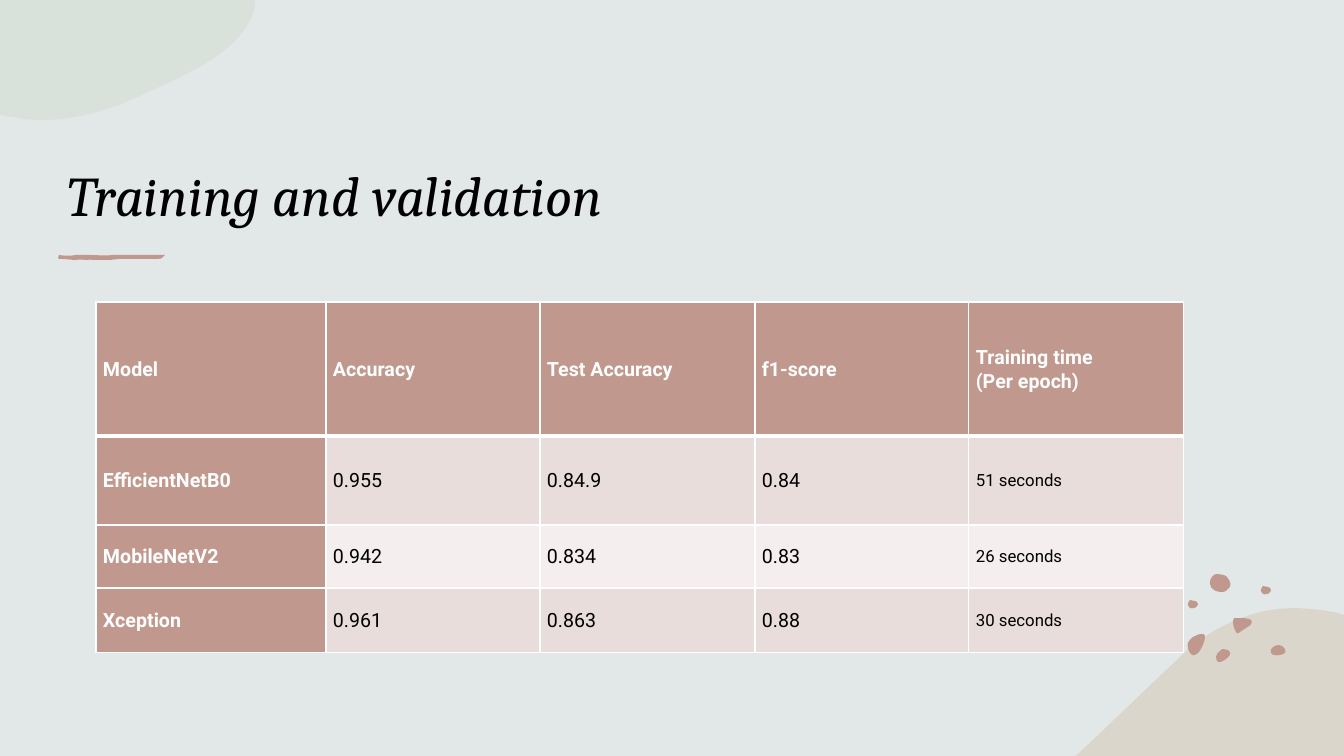
from lxml import etree
from pptx import Presentation
from pptx import util as u
from pptx.dml.color import RGBColor
from pptx.enum import text
from pptx.oxml import parse_xml
from pptx.oxml.ns import nsdecls, qn

SCALE = 12192000 / 1344
THEME = {
    "background": "E2E7E8", "sand": "D3C7B0", "sage": "CFDDCD", "clay": "C1988D",
    "band": "E9DDDB", "pale": "F4EFEE", "ink": "000000", "white": "FFFFFF",
    "title_font": "Cambria", "body_font": "Roboto",
    "title_size": 40, "body_size": 14, "time_size": 12,
}


def px(length):
    return u.Emu(round(length * SCALE))


def draw_outline(slide, start, segments, color, alpha=100, shift=(0, 0)):
    points = [start]
    for segment in segments:
        points += zip(segment[::2], segment[1::2])
    corners = [(px(x + shift[0]), px(y + shift[1])) for x, y in points]
    builder = slide.shapes.build_freeform(*corners[0])
    builder.add_line_segments(corners[1:], close=True)
    shape = builder.convert_to_shape()
    lines = iter(list(shape._element.iter(qn("a:lnTo"))))
    for segment in segments:
        first = next(lines)
        if len(segment) == 6:
            first.tag = qn("a:cubicBezTo")
            for line in (next(lines), next(lines)):
                first.append(line[0])
                line.getparent().remove(line)
    shape.shadow.inherit = False
    shape.line.fill.background()
    shape.fill.solid()
    shape.fill.fore_color.rgb = RGBColor.from_string(THEME[color])
    if alpha < 100:
        fill_color = shape.fill._xPr.find(qn("a:solidFill"))[0]
        etree.SubElement(fill_color, qn("a:alpha"), val=str(alpha * 1000))


presentation = Presentation()
presentation.slide_width = px(1344)
presentation.slide_height = px(756)
slide = presentation.slides.add_slide(presentation.slide_layouts[6])
slide.background.fill.solid()
slide.background.fill.fore_color.rgb = RGBColor.from_string(THEME["background"])

draw_outline(slide, (1298, 608), [
    (1311, 609, 1325, 610, 1338, 613), (1344, 615), (1344, 756), (1075, 756),
    (1077, 755), (1111, 723, 1146, 689, 1178, 659), (1201, 636, 1224, 624, 1247, 616),
    (1264, 610, 1281, 608, 1298, 608)], "sand", 50)

pebbles = [
    ((1223, 649), [
        (1225, 649, 1226, 649, 1228, 650), (1230, 651, 1231, 653, 1230, 655),
        (1228, 658, 1222, 663, 1218, 662), (1217, 661, 1216, 659, 1216, 657),
        (1216, 655, 1218, 652, 1220, 651), (1221, 650, 1222, 649, 1223, 649)]),
    ((1201, 634), [
        (1203, 634, 1205, 634, 1205, 636), (1205, 637, 1205, 637, 1205, 638),
        (1204, 643, 1202, 648, 1199, 652), (1197, 654, 1193, 657, 1191, 654),
        (1188, 651, 1187, 646, 1188, 643), (1189, 640, 1191, 639, 1193, 637),
        (1194, 637, 1198, 634, 1201, 634)]),
    ((1279, 645), [
        (1281, 645, 1284, 647, 1285, 649), (1286, 651, 1286, 653, 1283, 654),
        (1280, 656, 1272, 656, 1271, 653), (1270, 651, 1271, 649, 1272, 648),
        (1274, 646, 1276, 645, 1279, 645)]),
    ((1211, 586), [
        (1210, 586, 1209, 580, 1212, 577), (1214, 575, 1214, 574, 1217, 574),
        (1220, 574, 1224, 575, 1226, 576), (1228, 578, 1232, 583, 1230, 587),
        (1227, 590, 1226, 592, 1222, 592), (1219, 592, 1214, 591, 1213, 589),
        (1211, 588, 1211, 587, 1211, 586)]),
]
for start, segments in pebbles:
    draw_outline(slide, start, segments, "clay")

dot = [
    (1261, 591, 1261, 587, 1263, 586), (1265, 586, 1266, 586, 1268, 587),
    (1269, 587, 1271, 588, 1271, 590), (1271, 591, 1270, 593, 1269, 593),
    (1269, 593, 1269, 594, 1267, 594), (1266, 594, 1264, 595, 1263, 594),
    (1262, 592, 1261, 592, 1261, 591)]
for shift in [(0, 0), (-73, 14)]:
    draw_outline(slide, (1261, 591), dot, "clay", shift=shift)

draw_outline(slide, (1238, 618), [
    (1244, 618, 1255, 618, 1251, 624), (1251, 625, 1250, 626, 1249, 626),
    (1246, 628, 1243, 630, 1240, 632), (1239, 633, 1238, 634, 1237, 633),
    (1237, 633, 1236, 632, 1236, 632), (1234, 628, 1233, 625, 1233, 621),
    (1233, 620, 1233, 619, 1234, 618), (1235, 618, 1236, 618, 1238, 618)], "clay")

draw_outline(slide, (0, 0), [
    (255, 0), (255, 6), (247, 44, 202, 68, 159, 87), (124, 104, 87, 120, 41, 120),
    (31, 120, 22, 119, 13, 117), (0, 115), (0, 0)], "sage", 50)

for x, y in [(59, 259), (60, 259), (164, 255)]:
    draw_outline(slide, (x, y), [(x, y, x + 1, y, x + 1, y), (x + 1, y, x, y, x, y)], "clay")

draw_outline(slide, (87, 260), [
    (89, 259, 91, 260, 93, 260), (97, 260, 104, 260, 108, 260),
    (113, 260, 116, 259, 120, 259), (134, 259, 148, 259, 158, 259),
    (164, 259, 162, 256, 165, 255), (162, 255, 160, 255, 158, 255),
    (152, 255, 139, 255, 134, 255), (128, 255, 118, 255, 112, 255),
    (107, 256, 95, 255, 89, 255), (84, 255, 80, 255, 76, 255),
    (71, 256, 65, 256, 59, 255), (58, 256, 57, 260, 61, 259),
    (66, 259, 72, 260, 76, 260), (80, 259, 84, 260, 87, 260)], "clay")

title = slide.shapes.add_textbox(px(58), px(87), px(1111), px(146))
title.text_frame.word_wrap = True
title.text_frame.vertical_anchor = text.MSO_ANCHOR.BOTTOM
run = title.text_frame.paragraphs[0].add_run()
run.text = "Training and validation"
run.font.name = THEME["title_font"]
run.font.size = u.Pt(THEME["title_size"])
run.font.italic = True
run.font.color.rgb = RGBColor.from_string(THEME["ink"])

rows = [
    ["Model", "Accuracy", "Test Accuracy", "f1-score", "Training time\n(Per epoch)"],
    ["EfficientNetB0", "0.955", "0.84.9", "0.84", "51 seconds"],
    ["MobileNetV2", "0.942", "0.834", "0.83", "26 seconds"],
    ["Xception", "0.961", "0.863", "0.88", "30 seconds"],
]
column_widths = [230, 214, 215, 214, 215]
row_heights = [134, 89, 63, 65]
frame = slide.shapes.add_table(
    len(rows), len(column_widths), px(96), px(302), px(sum(column_widths)), px(sum(row_heights)))
table = frame.table
table.horz_banding = False
for column, width in zip(table.columns, column_widths):
    column.width = px(width)
for row, height in zip(table.rows, row_heights):
    row.height = px(height)

for row_index, values in enumerate(rows):
    for column_index, value in enumerate(values):
        heading = row_index == 0 or column_index == 0
        time = column_index == 4 and not heading
        cell = table.cell(row_index, column_index)
        cell.margin_left = cell.margin_right = px(7)
        cell.margin_top = cell.margin_bottom = 0
        cell.vertical_anchor = text.MSO_ANCHOR.MIDDLE
        cell.fill.solid()
        fill = "clay" if heading else "band" if row_index % 2 else "pale"
        cell.fill.fore_color.rgb = RGBColor.from_string(THEME[fill])
        for line_index, line in enumerate(value.split("\n")):
            frame_text = cell.text_frame
            paragraph = frame_text.add_paragraph() if line_index else frame_text.paragraphs[0]
            paragraph.line_spacing = 1.07
            run = paragraph.add_run()
            run.text = line
            run.font.name = THEME["body_font"]
            run.font.size = u.Pt(THEME["time_size" if time else "body_size"])
            run.font.bold = heading
            run.font.color.rgb = RGBColor.from_string(THEME["white" if heading else "ink"])
        properties = cell._tc.get_or_add_tcPr()
        for position, side in enumerate("LRTB"):
            thick = (row_index, side) in [(0, "B"), (1, "T")]
            border = parse_xml(
                f'<a:ln{side} {nsdecls("a")} w="{u.Pt(3 if thick else 1)}"><a:solidFill>'
                f'<a:srgbClr val="{THEME["white"]}"/></a:solidFill></a:ln{side}>')
            properties.insert(position, border)

presentation.save("out.pptx")
